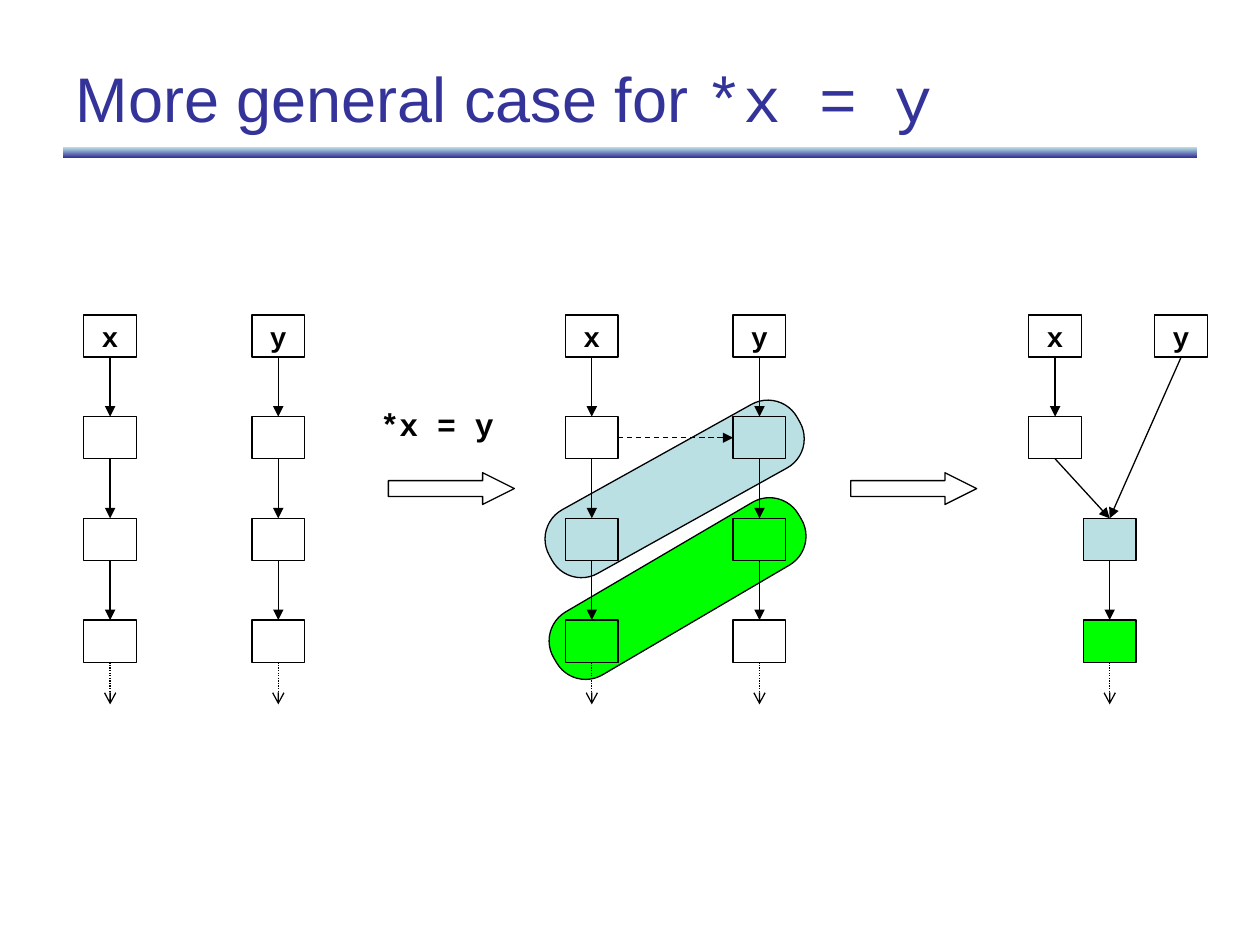
"""Build the pointer-unification slide for the assignment *x = y."""
from typing import NamedTuple, Optional

from lxml import etree
from pptx import Presentation
from pptx.dml.color import RGBColor
from pptx.enum.dml import MSO_LINE
from pptx.enum.shapes import MSO_CONNECTOR, MSO_SHAPE
from pptx.enum.text import MSO_ANCHOR, MSO_AUTO_SIZE, PP_ALIGN
from pptx.oxml.ns import qn
from pptx.util import Cm, Pt

RECTANGLE, PILL, BLOCK_ARROW = (
    MSO_SHAPE.RECTANGLE, MSO_SHAPE.ROUNDED_RECTANGLE, MSO_SHAPE.RIGHT_ARROW)
STRAIGHT = MSO_CONNECTOR.STRAIGHT
DASHED, DOTTED = MSO_LINE.DASH, MSO_LINE.ROUND_DOT
MIDDLE, CENTER, LEFT = MSO_ANCHOR.MIDDLE, PP_ALIGN.CENTER, PP_ALIGN.LEFT
FIT_SHAPE = MSO_AUTO_SIZE.SHAPE_TO_FIT_TEXT

BLACK = RGBColor(0x00, 0x00, 0x00)
NAVY = RGBColor(0x33, 0x33, 0x99)
PALE_BLUE = RGBColor(0xBB, 0xE0, 0xE3)
GREEN = RGBColor(0x00, 0xFF, 0x00)

SANS, MONO = "Arial", "Courier New"
ASSIGNMENT = "*x = y"
TOP, BOTTOM, LEFT_SIDE, RIGHT_SIDE = 0, 2, 1, 3
BOX_WIDTH, BOX_HEIGHT = 1.06, 0.85
FIRST_ROW, ROW_PITCH = 6.35, 2.05
TAIL_LENGTH = 0.85


class Chain(NamedTuple):
    """A variable name with the cells its pointers lead through."""
    name: str
    left: float


class Group(NamedTuple):
    """A rotated pill around two cells that are to be merged."""
    left: float
    top: float
    rotation: float
    color: RGBColor


BEFORE = [Chain("x", 1.69), Chain("y", 5.08)]
DURING = [Chain("x", 11.4), Chain("y", 14.78)]
AFTER_X, AFTER_Y, MERGED_LEFT = Chain("x", 20.74), Chain("y", 23.28), 21.84
GROUPS = [Group(10.8, 11.13, 329.6, GREEN), Group(10.74, 9.12, 330.9, PALE_BLUE)]
STEP_ARROWS = [7.83, 17.15]


def add_shape(page, kind, left: float, top: float, width: float, height: float,
              color: Optional[RGBColor] = None):
    """Add an outlined shape, filled only when a colour is given."""
    shape = page.shapes.add_shape(kind, Cm(left), Cm(top), Cm(width), Cm(height))
    shape.shadow.inherit = False
    if color is None:
        shape.fill.background()
    else:
        shape.fill.solid()
        shape.fill.fore_color.rgb = color
    shape.line.color.rgb = BLACK
    shape.line.width = Pt(0.75)
    return shape


def format_span(span, font: str, size: int, color: RGBColor, bold: bool) -> None:
    """Give a run its font, size, colour and weight."""
    span.font.name = font
    span.font.size = Pt(size)
    span.font.color.rgb = color
    span.font.bold = bold


def add_box(page, left: float, row: int, name: str = "",
            color: Optional[RGBColor] = None):
    """Add one memory cell in the given row."""
    box = add_shape(page, RECTANGLE, left, FIRST_ROW + row * ROW_PITCH,
                    BOX_WIDTH, BOX_HEIGHT, color)
    if name:
        frame = box.text_frame
        frame.text = name
        frame.word_wrap = False
        frame.vertical_anchor = MIDDLE
        paragraph = frame.paragraphs[0]
        paragraph.alignment = CENTER
        format_span(paragraph.runs[0], MONO, 16, BLACK, True)
    return box


def style_line(line, head: str, dash=None) -> None:
    """Draw a connector in black with an arrowhead at its end."""
    line.line.color.rgb = BLACK
    line.line.width = Pt(0.75)
    if dash is not None:
        line.line.dash_style = dash
    etree.SubElement(line.line._get_or_add_ln(), qn("a:tailEnd"), type=head)
    etree.SubElement(line._element.spPr, qn("a:effectLst"))


def link(page, source, target, start: int = BOTTOM, end: int = TOP, dash=None) -> None:
    """Join two cells with an arrow."""
    line = page.shapes.add_connector(STRAIGHT, 0, 0, 0, 0)
    line.begin_connect(source, start)
    line.end_connect(target, end)
    style_line(line, "triangle", dash)


def add_tail(page, box) -> None:
    """Add the dotted arrow that leads on from the last cell."""
    middle, bottom = box.left + box.width // 2, box.top + box.height
    line = page.shapes.add_connector(
        STRAIGHT, middle, bottom, middle, bottom + Cm(TAIL_LENGTH))
    line.begin_connect(box, BOTTOM)
    style_line(line, "arrow", DOTTED)


def add_chain(page, chain: Chain) -> list:
    """Add a name, three cells, and the arrows between them."""
    boxes = [add_box(page, chain.left, row, "" if row else chain.name)
             for row in range(4)]
    for source, target in zip(boxes, boxes[1:]):
        link(page, source, target)
    add_tail(page, boxes[-1])
    return boxes


def add_merged(page) -> None:
    """Add the state in which both chains share their cells."""
    name_x = add_box(page, AFTER_X.left, 0, AFTER_X.name)
    cell_x = add_box(page, AFTER_X.left, 1)
    name_y = add_box(page, AFTER_Y.left, 0, AFTER_Y.name)
    shared = add_box(page, MERGED_LEFT, 2, color=PALE_BLUE)
    last = add_box(page, MERGED_LEFT, 3, color=GREEN)
    for source, target in [(name_x, cell_x), (cell_x, shared),
                           (name_y, shared), (shared, last)]:
        link(page, source, target)
    add_tail(page, last)


def add_title(page) -> None:
    """Fill the title and draw the gradient rule below it."""
    bar = add_shape(page, RECTANGLE, 1.27, 2.97, 22.86, 0.21)
    bar.line.fill.background()
    bar.fill.gradient()
    bar.fill.gradient_angle = 270
    for stop, color in zip(bar.fill.gradient_stops, (PALE_BLUE, NAVY)):
        stop.color.rgb = color
    title = page.shapes.title
    title.left, title.top, title.width, title.height = (
        Cm(1.27), Cm(0.76), Cm(22.86), Cm(2.41))
    title.text_frame.vertical_anchor = MIDDLE
    paragraph = title.text_frame.paragraphs[0]
    paragraph.alignment = LEFT
    for text, font in (("More general case for ", SANS), (ASSIGNMENT, MONO)):
        span = paragraph.add_run()
        span.text = text
        format_span(span, font, 36, NAVY, False)


def add_statement(page) -> None:
    """Label the first step with the assignment."""
    label = page.shapes.add_textbox(Cm(7.42), Cm(8.05), Cm(2.8), Cm(1.02))
    frame = label.text_frame
    frame.text = ASSIGNMENT
    frame.word_wrap = False
    frame.auto_size = FIT_SHAPE
    format_span(frame.paragraphs[0].runs[0], MONO, 18, BLACK, True)


def main() -> None:
    """Build and save the deck."""
    deck = Presentation()
    deck.slide_width, deck.slide_height = Cm(25.4), Cm(19.05)
    page = deck.slides.add_slide(deck.slide_layouts[5])
    add_title(page)
    for group in GROUPS:
        pill = add_shape(page, PILL, group.left, group.top, 5.72, 1.47, group.color)
        pill.adjustments[0] = 0.46
        pill.rotation = group.rotation
    add_statement(page)
    for left in STEP_ARROWS:
        arrow = add_shape(page, BLOCK_ARROW, left, 9.53, 2.54, 0.64)
        arrow.adjustments[0], arrow.adjustments[1] = 0.5, 1
    for chain in BEFORE:
        add_chain(page, chain)
    x_boxes, y_boxes = [add_chain(page, chain) for chain in DURING]
    link(page, x_boxes[1], y_boxes[1], RIGHT_SIDE, LEFT_SIDE, DASHED)
    add_merged(page)
    deck.save("out.pptx")


if __name__ == "__main__":
    main()
